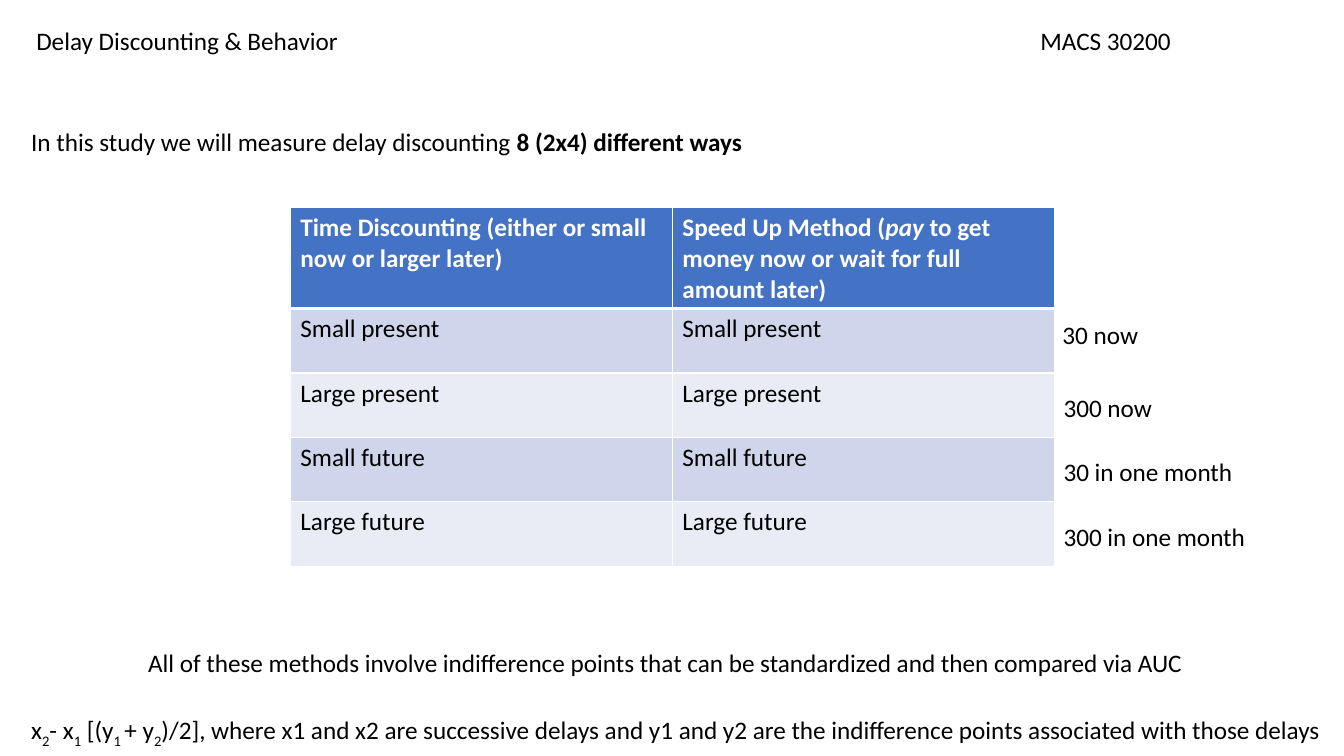
"""Build the slide on eight ways of measuring delay discounting."""
from dataclasses import dataclass

import pptx
import pptx.dml.color
import pptx.enum.text
import pptx.oxml
import pptx.oxml.ns
import pptx.util

BLACK = pptx.dml.color.RGBColor(0x00, 0x00, 0x00)
WHITE = pptx.dml.color.RGBColor(0xFF, 0xFF, 0xFF)
HEADING_BLUE = pptx.dml.color.RGBColor(0x44, 0x72, 0xC4)
BANDS = (pptx.dml.color.RGBColor(0xCF, 0xD5, 0xEA), pptx.dml.color.RGBColor(0xE9, 0xEB, 0xF5))

SLIDE_WIDTH = pptx.util.Inches(40 / 3)
SLIDE_HEIGHT = pptx.util.Inches(7.5)
TEXT_FORMAT = {"name": "Calibri", "size": pptx.util.Pt(18)}
LINE_HEIGHT = 5.33
ROW_HEIGHT = 8.53
HEADING_HEIGHT = 13.2
TABLE_WIDTH = 56.85
SUBSCRIPT = "-25000"


@dataclass(frozen=True)
class Piece:
    """A stretch of text with one format."""
    text: str
    bold: bool = False
    italic: bool = False
    subscript: bool = False


@dataclass(frozen=True)
class Line:
    """A line of text placed in percent of the slide's size."""
    left: float
    top: float
    width: float
    pieces: tuple[Piece, ...]
    wrap: bool = True


def across(percent: float) -> int:
    """Return a share of the slide's width."""
    return round(SLIDE_WIDTH * percent / 100)


def down(percent: float) -> int:
    """Return a share of the slide's height."""
    return round(SLIDE_HEIGHT * percent / 100)


def write(text_frame, pieces: tuple[Piece, ...], color=BLACK) -> None:
    """Write formatted pieces into the first paragraph."""
    paragraph = text_frame.paragraphs[0]
    paragraph.alignment = pptx.enum.text.PP_ALIGN.LEFT
    for piece in pieces:
        run = paragraph.add_run()
        run.text = piece.text
        values = TEXT_FORMAT | {"bold": piece.bold, "italic": piece.italic}
        for name, value in values.items():
            setattr(run.font, name, value)
        run.font.color.rgb = color
        if piece.subscript:
            run._r.get_or_add_rPr().set("baseline", SUBSCRIPT)


def place_line(shape, line: Line) -> None:
    """Position a text shape and fill it with its line."""
    box = {"left": across(line.left), "top": down(line.top),
           "width": across(line.width), "height": down(LINE_HEIGHT)}
    for name, value in box.items():
        setattr(shape, name, value)
    frame_format = {
        "word_wrap": line.wrap,
        "auto_size": pptx.enum.text.MSO_AUTO_SIZE.SHAPE_TO_FIT_TEXT,
        "vertical_anchor": pptx.enum.text.MSO_ANCHOR.TOP,
    }
    for name, value in frame_format.items():
        setattr(shape.text_frame, name, value)
    write(shape.text_frame, line.pieces)


def draw_cell(cell, pieces: tuple[Piece, ...], row: int) -> None:
    """Write, fill and border one table cell."""
    is_heading = row == 0
    write(cell.text_frame, pieces, WHITE if is_heading else BLACK)
    cell.fill.solid()
    cell.fill.fore_color.rgb = HEADING_BLUE if is_heading else BANDS[(row - 1) % 2]
    widths = {"lnL": 1, "lnR": 1, "lnT": 3 if row == 1 else 1, "lnB": 3 if is_heading else 1}
    properties = cell._tc.get_or_add_tcPr()
    for position, (side, points) in enumerate(widths.items()):
        border = pptx.oxml.parse_xml(
            f'<a:{side} {pptx.oxml.ns.nsdecls("a")} w="{pptx.util.Pt(points)}">'
            f'<a:solidFill><a:srgbClr val="{WHITE}"/></a:solidFill></a:{side}>')
        properties.insert(position, border)


def draw_methods(slide, rows: list[tuple[tuple[Piece, ...], ...]]) -> None:
    """Draw the table of discounting methods."""
    height = HEADING_HEIGHT + ROW_HEIGHT * (len(rows) - 1)
    table = slide.shapes.add_table(len(rows), len(rows[0]), across(21.6), down(27.47),
                                   across(TABLE_WIDTH), down(height)).table
    for row, contents in enumerate(rows):
        table.rows[row].height = down(HEADING_HEIGHT if row == 0 else ROW_HEIGHT)
        for column, pieces in enumerate(contents):
            draw_cell(table.cell(row, column), pieces, row)


HEADER = Line(1.95, 2.67, 34.43, (Piece("Delay Discounting & Behavior"),))
HEADINGS = (
    (Piece("Time Discounting (either or small now or larger later)", bold=True),),
    (Piece("Speed Up Method (", bold=True), Piece("pay", bold=True, italic=True),
     Piece(" to get money now or wait for full amount later)", bold=True)),
)
CONDITIONS = ("Small present", "Large present", "Small future", "Large future")
LATER_AMOUNTS = (("300 now", 8.18), ("30 in one month", 14.25), ("300 in one month", 15.23))
FORMULA = (
    Piece("x"), Piece("2", subscript=True), Piece("- x"), Piece("1", subscript=True),
    Piece(" [(y"), Piece("1 ", subscript=True), Piece("+ y"), Piece("2", subscript=True),
    Piece(")/2], where x1 and x2 are successive delays and y1 and y2 are "
          "the indifference points associated with those delays"),
)
LINES = [
    Line(76.67, 2.67, 16.5, (Piece("MACS 30200"),)),
    Line(78.32, 41.6, 7.2, (Piece("30 now"),), wrap=False),
    *(Line(78.4, 51.2 + ROW_HEIGHT * index, width, (Piece(amount),), wrap=False)
      for index, (amount, width) in enumerate(LATER_AMOUNTS)),
    Line(10.28, 84.93, 79.5, (Piece("All of these methods involve indifference points that can be "
                                    "standardized and then compared via AUC"),), wrap=False),
    Line(1.58, 16, 57.15, (Piece("In this study we will measure delay discounting "),
                           Piece("8 (2x4) different ways", bold=True))),
    Line(1.58, 93.87, 98.5, FORMULA),
]


def main() -> None:
    """Build and save the presentation."""
    presentation = pptx.Presentation()
    presentation.slide_width = SLIDE_WIDTH
    presentation.slide_height = SLIDE_HEIGHT
    slide = presentation.slides.add_slide(presentation.slide_layouts.get_by_name("Title Only"))
    place_line(slide.shapes.title, HEADER)
    draw_methods(slide, [HEADINGS, *(((Piece(name),),) * 2 for name in CONDITIONS)])
    for line in LINES:
        place_line(slide.shapes.add_textbox(0, 0, 0, 0), line)
    presentation.save("out.pptx")


main()
